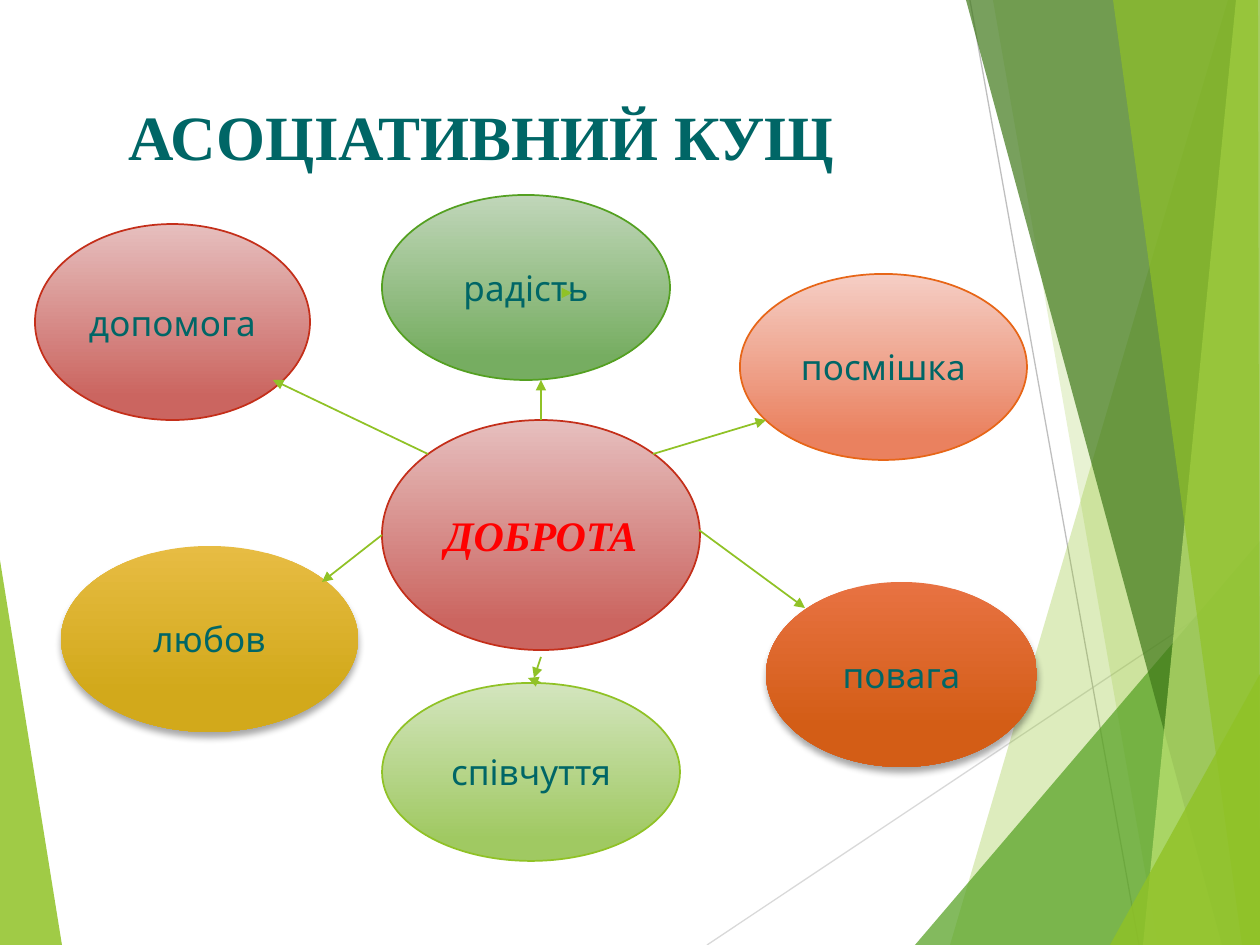
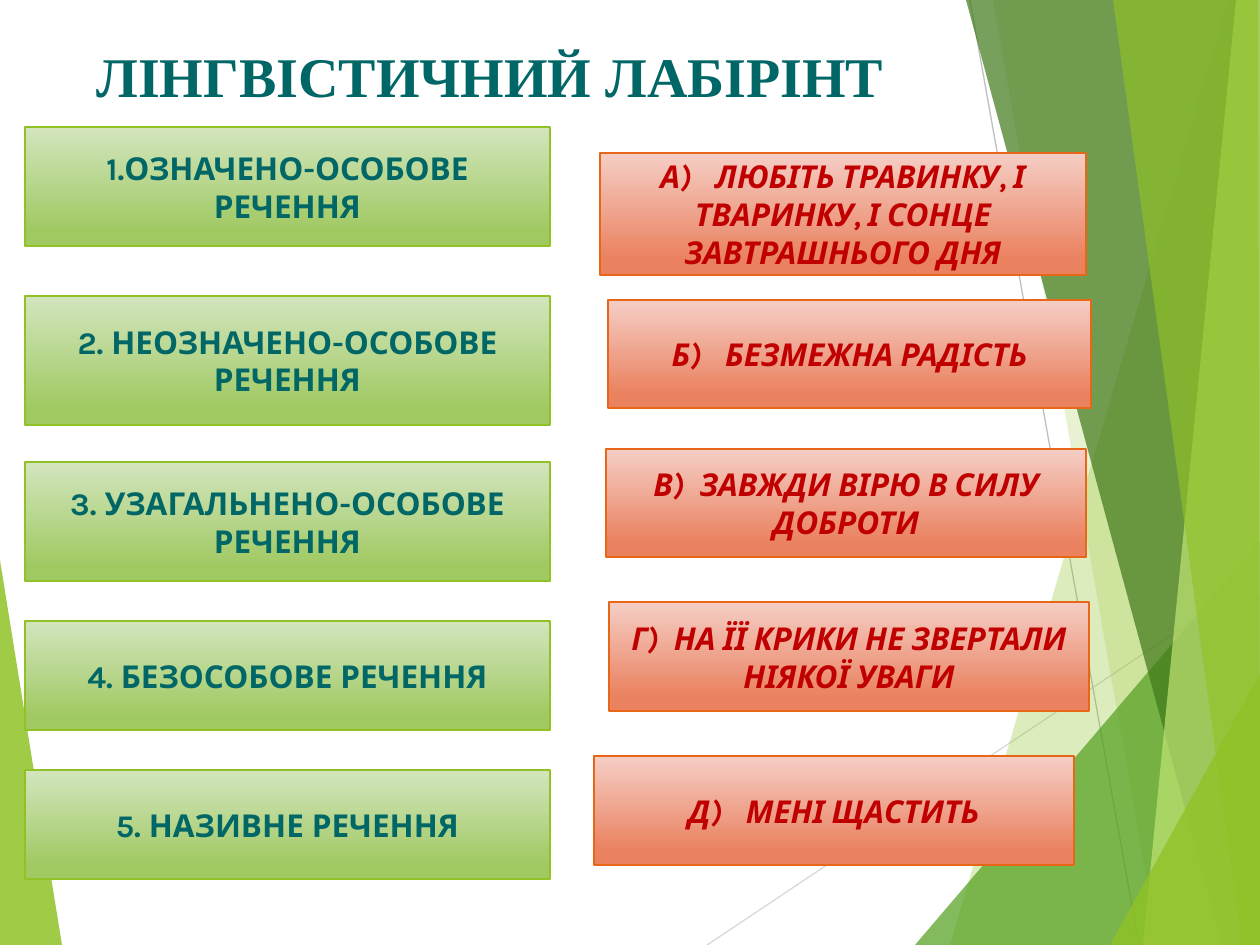
from lxml import etree
from pptx import Presentation
from pptx.dml.color import RGBColor
from pptx.enum.shapes import MSO_CONNECTOR, MSO_SHAPE
from pptx.enum.text import MSO_ANCHOR, PP_ALIGN
from pptx.oxml.ns import qn
from pptx.util import Emu, Pt

STRAIGHT = MSO_CONNECTOR.STRAIGHT
OVAL, RECTANGLE = MSO_SHAPE.OVAL, MSO_SHAPE.RECTANGLE
MIDDLE = MSO_ANCHOR.MIDDLE
LEFT, CENTER = PP_ALIGN.LEFT, PP_ALIGN.CENTER

SCALE = 914400 / 126  # EMU in one px
WIDTH, HEIGHT = 1260, 945
TEAL, RED, CRIMSON, LIME = "006666", "FF0000", "C00000", "90C226"
SERIF, SANS = "Times New Roman", "Karla"
SPACE_WIDTH = 470  # one extra space at 18 pt, in hundredths of a point

# name: (top colour, bottom colour, bottom stop, outline); no outline means a shadow
STYLES = {
    "rose": ("E6BFBE", "CB6560", 0.88, "C42F1A"),
    "peach": ("F5CEC5", "EA815F", 0.88, "E76618"),
    "green": ("C0D6B9", "76AD61", 0.88, "54A021"),
    "lime": ("D3E5BE", "A0C962", 0.88, LIME),
    "orange": ("E87242", "D35D16", 0.78, None),
    "gold": ("E7BC43", "D2A91B", 0.78, None),
}

# start, end, colour
BACK_LINES = [
    ((707, HEIGHT), (WIDTH, 576), "D9D9D9"),
    ((970, 0), (1139, HEIGHT), "BFBFBF"),
]
LEFT_WEDGE = ([(0, 560), (62, HEIGHT), (0, HEIGHT)], LIME, 85)
BOTTOM_RIGHT, TOP_RIGHT = (WIDTH, HEIGHT), (WIDTH, 0)
# corners, colour, opacity in percent
FACETS = [
    ([(1228, 0), (950, HEIGHT), BOTTOM_RIGHT, TOP_RIGHT], LIME, 30),
    ([(993, 0), (1158, HEIGHT), BOTTOM_RIGHT, TOP_RIGHT], LIME, 20),
    ([(915, HEIGHT), (WIDTH, 541), BOTTOM_RIGHT], "54A021", 72),
    ([(966, 0), (1222, HEIGHT), BOTTOM_RIGHT, TOP_RIGHT], "3F7819", 70),
    ([(1236, 0), (1143, HEIGHT), BOTTOM_RIGHT, TOP_RIGHT], "C0E474", 70),
    ([(1113, 0), (1242, HEIGHT), BOTTOM_RIGHT, (1258, 0)], LIME, 65),
    ([(1110, HEIGHT), (WIDTH, 674), BOTTOM_RIGHT], LIME, 80),
]

BUSH_TITLE = "АСОЦІАТИВНИЙ КУЩ"
BUSH_CENTRE = ("ДОБРОТА", "rose", (382, 420, 318, 230))
BUSH_WORDS = [
    ("посмішка", "peach", (740, 274, 287, 186)),
    ("радість", "green", (382, 195, 288, 185)),
    ("повага", "orange", (766, 582, 271, 185)),
    ("допомога", "rose", (35, 224, 275, 196)),
    ("любов", "gold", (61, 546, 297, 186)),
    ("співчуття", "lime", (382, 683, 298, 178)),
]
BUSH_ARROWS = [
    ((653, 454), (766, 420)),
    ((699, 530), (805, 608)),
    ((541, 420), (541, 380)),
    ((541, 683), (528, 678)),
    ((541, 657), (534, 678)),
    ((571, 293), (572, 293)),
    ((428, 454), (273, 380)),
    ((382, 535), (322, 582)),
]

MAZE_TITLE = "ЛІНГВІСТИЧНИЙ ЛАБІРІНТ"
MAZE_LEFT, MAZE_WIDTH = 25, 525
# text, top, height
SENTENCE_TYPES = [
    ("1.ОЗНАЧЕНО-ОСОБОВЕ РЕЧЕННЯ", 127, 119),
    ("2. НЕОЗНАЧЕНО-ОСОБОВЕ РЕЧЕННЯ", 296, 129),
    ("3. УЗАГАЛЬНЕНО-ОСОБОВЕ РЕЧЕННЯ", 462, 119),
    ("4. БЕЗОСОБОВЕ РЕЧЕННЯ", 621, 109),
    ("5. НАЗИВНЕ РЕЧЕННЯ", 770, 109),
]
# letter, extra space widths after it, text, place
EXAMPLES = [
    ("А)", 2, "ЛЮБІТЬ ТРАВИНКУ, І ТВАРИНКУ, І СОНЦЕ ЗАВТРАШНЬОГО ДНЯ",
     (600, 153, 486, 122)),
    ("Б)", 2, "БЕЗМЕЖНА РАДІСТЬ", (608, 300, 483, 108)),
    ("В)", 1, "ЗАВЖДИ ВІРЮ В СИЛУ ДОБРОТИ", (606, 449, 480, 108)),
    ("Г)", 1, "НА ЇЇ КРИКИ НЕ ЗВЕРТАЛИ НІЯКОЇ УВАГИ", (609, 602, 480, 109)),
    ("Д)", 2, "МЕНІ ЩАСТИТЬ", (594, 756, 480, 109)),
]


def px(length):
    return Emu(round(length * SCALE))


def colour(code):
    return RGBColor.from_string(code)


def add_child(parent, tag, **attributes):
    child = etree.SubElement(parent, qn(tag))
    for name, value in attributes.items():
        child.set(name, str(value))
    return child


def set_font(para, name, size, code, bold=False, italic=False):
    font = para.font
    font.name, font.size = name, Pt(size)
    font.bold, font.italic = bold, italic
    font.color.rgb = colour(code)


def add_line(page, start, end, code, weight, arrow=False):
    line = page.shapes.add_connector(STRAIGHT, *map(px, start + end))
    line.line.color.rgb = colour(code)
    line.line.width = Pt(weight)
    properties = line._element.spPr
    if arrow:
        add_child(properties.find(qn("a:ln")), "a:tailEnd", type="triangle")
    add_child(properties, "a:effectLst")


def add_facet(page, corners, code, opacity):
    builder = page.shapes.build_freeform(*corners[0], scale=SCALE)
    builder.add_line_segments(corners[1:], close=True)
    facet = builder.convert_to_shape()
    facet.shadow.inherit = False
    facet.fill.solid()
    facet.fill.fore_color.rgb = colour(code)
    facet.line.fill.background()
    fill_colour = facet._element.spPr.find(".//" + qn("a:srgbClr"))
    add_child(fill_colour, "a:alpha", val=opacity * 1000)


def add_shadow(shape):
    effects = shape._element.spPr.find(qn("a:effectLst"))
    shadow = add_child(effects, "a:outerShdw", blurRad=Pt(4), dist=Pt(3),
                       dir=90 * 60000, rotWithShape=0)
    add_child(add_child(shadow, "a:srgbClr", val="000000"), "a:alpha", val=35000)


def add_tile(page, kind, place, style):
    """Add a gradient shape and return its centred paragraph."""
    top_code, bottom_code, bottom_stop, outline = STYLES[style]
    tile = page.shapes.add_shape(kind, *map(px, place))
    tile.shadow.inherit = False
    tile.fill.gradient()
    tile.fill.gradient_angle = 270
    stops = zip(tile.fill.gradient_stops, (0, bottom_stop), (top_code, bottom_code))
    for stop, position, code in stops:
        stop.position = position
        stop.color.rgb = colour(code)
    if outline:
        tile.line.color.rgb = colour(outline)
        tile.line.width = Pt(1)
    else:
        tile.line.fill.background()
        add_shadow(tile)
    tile.text_frame.word_wrap = True
    tile.text_frame.vertical_anchor = MIDDLE
    para = tile.text_frame.paragraphs[0]
    para.alignment = CENTER
    return para


def add_page(deck, title, place, size):
    """Add a slide with the shared background and a title."""
    page = deck.slides.add_slide(deck.slide_layouts[6])
    add_facet(page, *LEFT_WEDGE)
    for start, end, code in BACK_LINES:
        add_line(page, start, end, code, 0.75)
    for facet in FACETS:
        add_facet(page, *facet)
    box = page.shapes.add_textbox(*map(px, place))
    box.text_frame.word_wrap = True
    box.text_frame.vertical_anchor = MIDDLE
    para = box.text_frame.paragraphs[0]
    para.text = title
    para.alignment = LEFT
    set_font(para, SERIF, size, TEAL, bold=True)
    return page


def build_bush(deck):
    page = add_page(deck, BUSH_TITLE, (116, 83, 843, 104), 36)
    word, style, place = BUSH_CENTRE
    para = add_tile(page, OVAL, place, style)
    para.text = word
    set_font(para, SERIF, 24, RED, bold=True, italic=True)
    for word, style, place in BUSH_WORDS:
        para = add_tile(page, OVAL, place, style)
        para.text = word
        set_font(para, SANS, 20, TEAL)
    for start, end in BUSH_ARROWS:
        add_line(page, start, end, LIME, 1, arrow=True)


def build_maze(deck):
    page = add_page(deck, MAZE_TITLE, (84, 30, 874, 90), 32)
    for text, top, height in SENTENCE_TYPES:
        para = add_tile(page, RECTANGLE, (MAZE_LEFT, top, MAZE_WIDTH, height), "lime")
        para.text = text
        set_font(para, SANS, 18, TEAL, bold=True)
    for letter, extra, text, place in EXAMPLES:
        para = add_tile(page, RECTANGLE, place, "peach")
        set_font(para, SANS, 18, CRIMSON, bold=True, italic=True)
        letter_span, gap_span, text_span = (para.add_run() for _ in range(3))
        letter_span.text, gap_span.text, text_span.text = letter, " ", text
        gap_span._r.get_or_add_rPr().set("spc", str(extra * SPACE_WIDTH))


def main():
    deck = Presentation()
    deck.slide_width, deck.slide_height = px(WIDTH), px(HEIGHT)
    build_bush(deck)
    build_maze(deck)
    deck.save("out.pptx")


if __name__ == "__main__":
    main()
